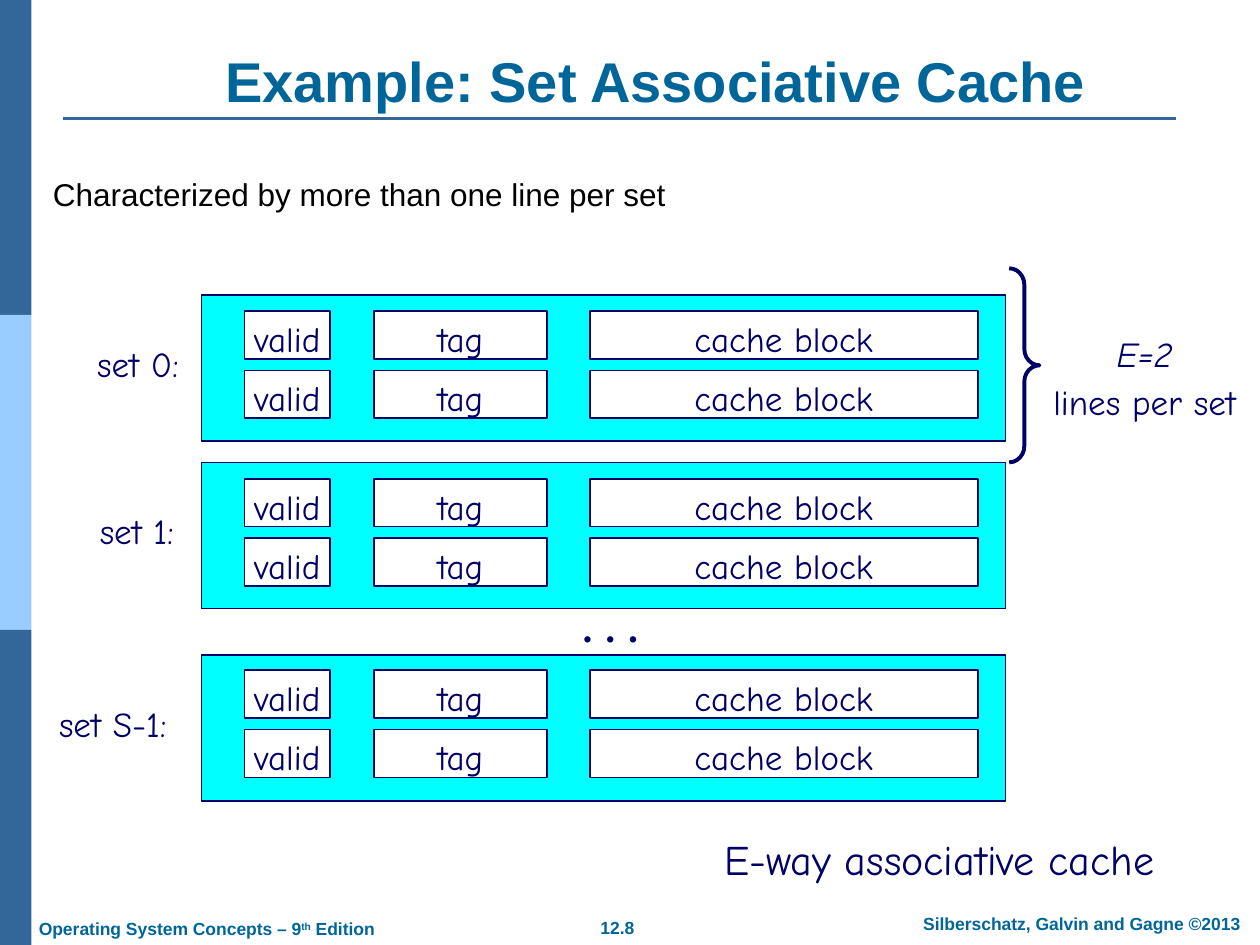
from lxml.etree import SubElement
from pptx import Presentation
from pptx.dml.color import RGBColor
from pptx.enum.shapes import MSO_CONNECTOR, MSO_SHAPE
from pptx.enum.text import MSO_ANCHOR, MSO_AUTO_SIZE, PP_ALIGN
from pptx.oxml.ns import qn
from pptx.util import Inches, Pt

STEEL = RGBColor(0x33, 0x66, 0x99)
SKY = RGBColor(0x99, 0xCC, 0xFF)
TEAL = RGBColor(0x00, 0x66, 0x99)
NAVY = RGBColor(0x00, 0x00, 0x66)
CYAN = RGBColor(0x00, 0xFF, 0xFF)
WHITE = RGBColor(0xFF, 0xFF, 0xFF)
BLACK = RGBColor(0x00, 0x00, 0x00)

COLUMNS, ROWS = 100, 75
CELL = Inches(0.1)
HAND_FONT = "Comic Neue"

SETS = [
    ("set 0:", 23.4, 1.3, 6.7, 8.5),
    ("set 1:", 36.7, 1.3, 6.9, 7.9),
    ("set S-1:", 52, 1.2, 3.7, 10.5),
]
FIELDS = [("valid", 19.4, 6.8), ("tag", 29.7, 13.7), ("cache block", 46.8, 30.8)]
LINES_PER_SET = 2
LINE_PITCH = 4.7


def grid(*cells):
    """Turn columns and rows of the grid into slide lengths."""
    return [round(cell * CELL) for cell in cells]


def add_span(para, text, size, color, font=HAND_FONT, bold=False, italic=False):
    """Add one formatted run to a paragraph."""
    span = para.add_run()
    span.text = text
    span.font.name = font
    span.font.size = Pt(size)
    span.font.color.rgb = color
    span.font.bold = bold
    span.font.italic = italic
    return span


def set_frame(box, anchor=MSO_ANCHOR.MIDDLE, wrap=False):
    """Set anchor, wrapping and insets, and return the first paragraph."""
    frame = box.text_frame
    frame.auto_size = MSO_AUTO_SIZE.NONE
    frame.vertical_anchor = anchor
    frame.word_wrap = wrap
    frame.margin_left = frame.margin_right = Inches(0.1)
    frame.margin_top = frame.margin_bottom = Inches(0.05)
    return frame.paragraphs[0]


def center(para, spacing=1.16):
    """Center a paragraph with the diagram's line spacing."""
    para.alignment = PP_ALIGN.CENTER
    para.line_spacing = spacing


def add_box(page, cells, fill, line=None, preset=MSO_SHAPE.RECTANGLE, width=1):
    """Add a preset shape with an optional fill and outline."""
    box = page.shapes.add_shape(preset, *grid(*cells))
    box.shadow.inherit = False
    if fill is None:
        box.fill.background()
    else:
        box.fill.solid()
        box.fill.fore_color.rgb = fill
    if line is None:
        box.line.fill.background()
    else:
        box.line.color.rgb = line
        box.line.width = Pt(width)
    return box


def add_label(page, cells, text, size=20, spacing=1.16):
    """Add a centered handwritten label."""
    box = page.shapes.add_textbox(*grid(*cells))
    para = set_frame(box)
    center(para, spacing)
    add_span(para, text, size, NAVY)
    return box


def add_footer(page, cells, parts, alignment=PP_ALIGN.CENTER):
    """Add a footer whose parts are pairs of text and superscript flag."""
    para = set_frame(page.shapes.add_textbox(*grid(*cells)), MSO_ANCHOR.TOP)
    para.alignment = alignment
    for text, raised in parts:
        span = add_span(para, text, 10, TEAL, "Arial", bold=True)
        if raised:
            span.font._element.set("baseline", "30000")


def add_frame(page):
    """Draw the side bar, the title rule and the footers."""
    band = ROWS / 3
    for index, color in enumerate((STEEL, SKY, STEEL)):
        add_box(page, (0, index * band, COLUMNS / 40, band), color)
    rule = page.shapes.add_connector(MSO_CONNECTOR.STRAIGHT, *grid(5, 9.4, 93.3, 9.4))
    rule.line.color.rgb = STEEL
    rule.line.width = Pt(1.5)
    SubElement(rule._element.spPr, qn("a:effectLst"))
    add_footer(page, (43.7, 72.3, 10.6, 2.7), [("12.8", False)])
    add_footer(page, (71, 72, 29.7, 2.7), [("Silberschatz, Galvin and Gagne ©2013", False)])
    edition = [("Operating System Concepts – 9", False), ("th", True), (" Edition", False)]
    add_footer(page, (2.1, 72.4, 28.6, 2.7), edition, PP_ALIGN.LEFT)


def fill_placeholders(page):
    """Place and fill the title and the body."""
    title, body = page.placeholders
    title.left, title.top, title.width, title.height = grid(4.4, 0.9, 95.3, 8.6)
    para = set_frame(title, MSO_ANCHOR.BOTTOM, wrap=True)
    para.alignment = PP_ALIGN.CENTER
    add_span(para, "Example: Set Associative Cache", 32, TEAL, "Arial", bold=True)

    body.left, body.top, body.width, body.height = grid(3.2, 13.4, 90.9, 57.1)
    para = set_frame(body, MSO_ANCHOR.TOP, wrap=True)
    para.space_before = Pt(0)
    properties = para._p.get_or_add_pPr()
    properties.set("marL", "0")
    properties.set("indent", "0")
    SubElement(properties, qn("a:buNone"))
    add_span(para, "Characterized by more than one line per set", 18, BLACK, "Arial")


def add_cache_set(page, name, top, inset, name_left, name_width):
    """Draw one cache set with its name and its lines."""
    add_box(page, (16, top, 63.8, 11.6), CYAN, NAVY)
    add_label(page, (name_left, top + 2.7, name_width, 4.9), name)
    for line in range(LINES_PER_SET):
        for text, left, width in FIELDS:
            cells = (left, top + inset + line * LINE_PITCH, width, 3.8)
            para = set_frame(add_box(page, cells, WHITE, NAVY))
            center(para)
            add_span(para, text, 20, NAVY)


def add_line_count(page):
    """Draw the brace and the number of lines per set."""
    brace = add_box(page, (80.1, 21.3, 2.4, 15.4), None, NAVY, MSO_SHAPE.RIGHT_BRACE, 2.25)
    brace.adjustments[0] = 0.54
    box = page.shapes.add_textbox(*grid(82.6, 25.3, 16.5, 8.8))
    first = set_frame(box)
    second = box.text_frame.add_paragraph()
    for para, text, italic in ((first, "E=2", True), (second, "lines per set", False)):
        center(para)
        add_span(para, text, 20, NAVY, italic=italic)


def main():
    """Build the slide and save the deck."""
    deck = Presentation()
    deck.slide_width, deck.slide_height = grid(COLUMNS, ROWS)
    page = deck.slides.add_slide(deck.slide_layouts[1])
    add_frame(page)
    fill_placeholders(page)
    for cache_set in SETS:
        add_cache_set(page, *cache_set)
    add_label(page, (43.3, 48.2, 10.3, 3.8), "• • •")
    add_line_count(page)
    add_label(page, (56.4, 66.6, 36.3, 4), "E-way associative cache", 24, 0.75)
    deck.save("out.pptx")


if __name__ == "__main__":
    main()
